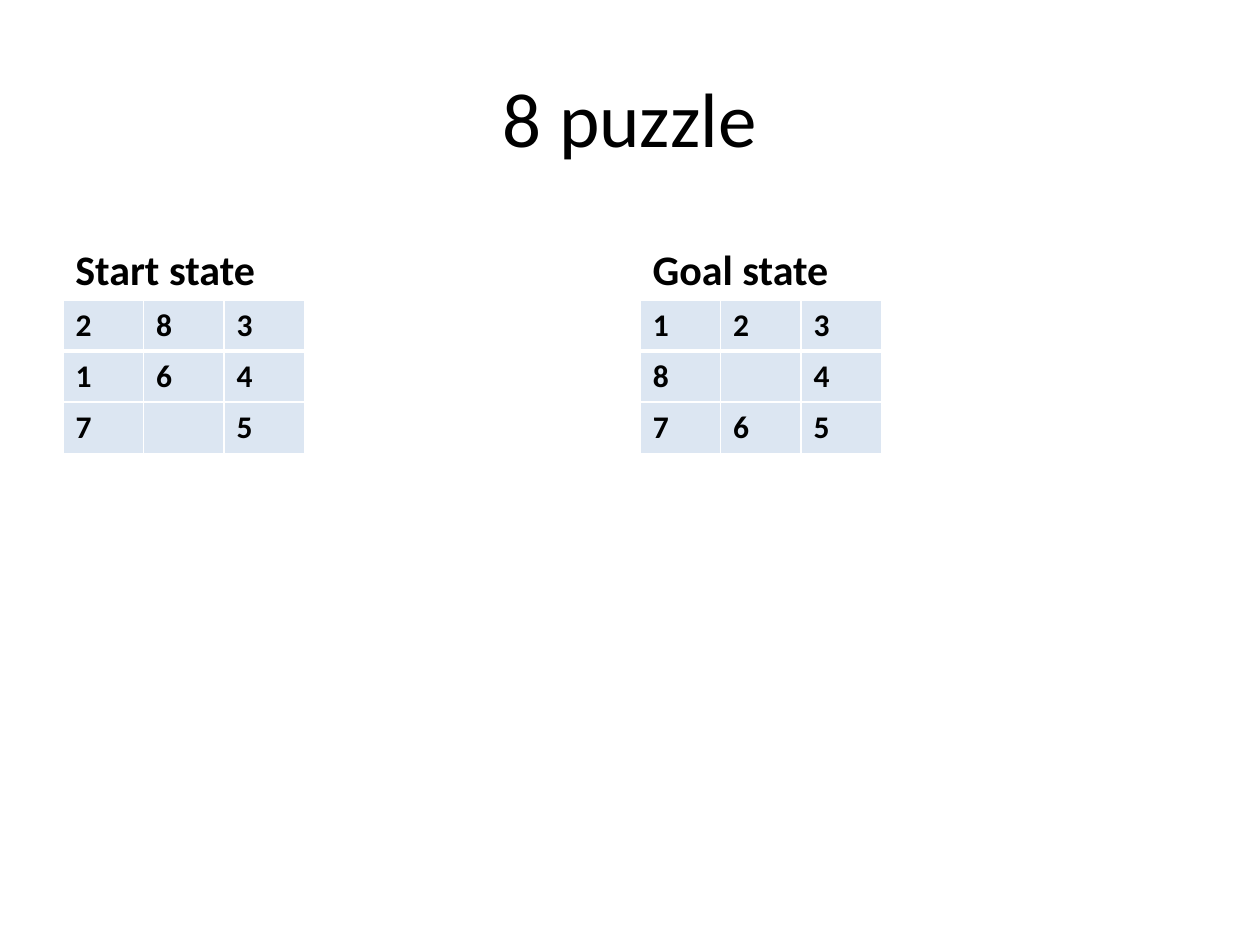
from lxml import etree
from pptx import Presentation
from pptx import util as u
from pptx.dml.color import RGBColor
from pptx.enum import text
from pptx.oxml.ns import qn

BLACK = RGBColor(0x00, 0x00, 0x00)
WHITE = RGBColor(0xFF, 0xFF, 0xFF)
PALE_BLUE = RGBColor(0xDC, 0xE6, 0xF2)
FONT = "Calibri"
LEFT, TABLE_TOP = 36, 171.4
LABEL_WIDTH, LABEL_HEIGHT = 318, 50.4
CELL_WIDTH, CELL_HEIGHT = 46, 29.2
GOAL_LEFT = 365.8

START = [["2", "8", "3"], ["1", "6", "4"], ["7", "", "5"]]
GOAL = [["1", "2", "3"], ["8", "", "4"], ["7", "6", "5"]]


def format_text(tf, size, bold):
    for p in tf.paragraphs:
        for r in p.runs:
            r.font.name = FONT
            r.font.size = u.Pt(size)
            r.font.bold = bold
            r.font.color.rgb = BLACK


def add_text(s, content, x, y, w, h, size, align, anchor, bold=False):
    sp = s.shapes.add_textbox(u.Pt(x), u.Pt(y), u.Pt(w), u.Pt(h))
    tf = sp.text_frame
    tf.word_wrap = True
    tf.vertical_anchor = anchor
    tf.text = content
    tf.paragraphs[0].alignment = align
    format_text(tf, size, bold)


def add_border(cell, side, width):
    ln = etree.SubElement(cell._tc.get_or_add_tcPr(), qn("a:ln" + side), w=str(u.Pt(width)))
    fill = etree.SubElement(ln, qn("a:solidFill"))
    etree.SubElement(fill, qn("a:srgbClr"), val=str(WHITE))


def add_board(s, rows, x, y):
    n = len(rows)
    table = s.shapes.add_table(
        n, n, u.Pt(x), u.Pt(y), u.Pt(n * CELL_WIDTH), u.Pt(n * CELL_HEIGHT)
    ).table
    for column in table.columns:
        column.width = u.Pt(CELL_WIDTH)
    for i, row in enumerate(rows):
        table.rows[i].height = u.Pt(CELL_HEIGHT)
        for j, tile in enumerate(row):
            cell = table.cell(i, j)
            cell.text = tile
            format_text(cell.text_frame, 18, True)
            widths = {"L": 1, "R": 1, "T": 3 if i == 1 else 1, "B": 3 if i == 0 else 1}
            for side, width in widths.items():
                add_border(cell, side, width)
            cell.fill.solid()
            cell.fill.fore_color.rgb = PALE_BLUE


def add_state(s, label, rows, x):
    add_text(s, label, x, TABLE_TOP - LABEL_HEIGHT, LABEL_WIDTH, LABEL_HEIGHT, 24,
             text.PP_ALIGN.LEFT, text.MSO_ANCHOR.BOTTOM, bold=True)
    add_board(s, rows, x, TABLE_TOP)


def main():
    prs = Presentation()
    prs.slide_width, prs.slide_height = u.Pt(720), u.Pt(540)
    s = prs.slides.add_slide(prs.slide_layouts[6])
    add_text(s, "8 puzzle", LEFT, 21.6, 648, 90, 44,
             text.PP_ALIGN.CENTER, text.MSO_ANCHOR.MIDDLE)
    add_state(s, "Start state", START, LEFT)
    add_state(s, "Goal state", GOAL, GOAL_LEFT)
    prs.save("out.pptx")


if __name__ == "__main__":
    main()
